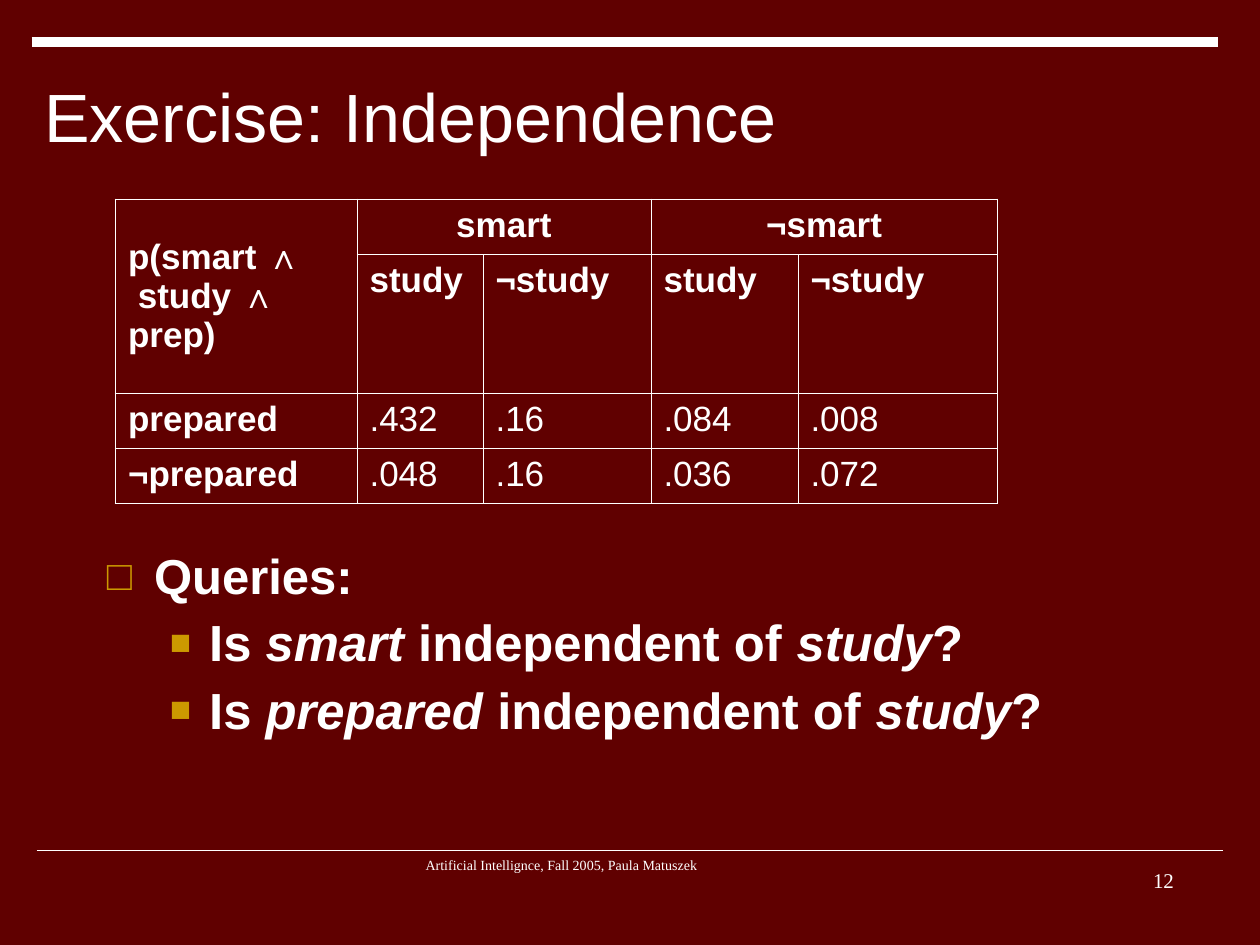
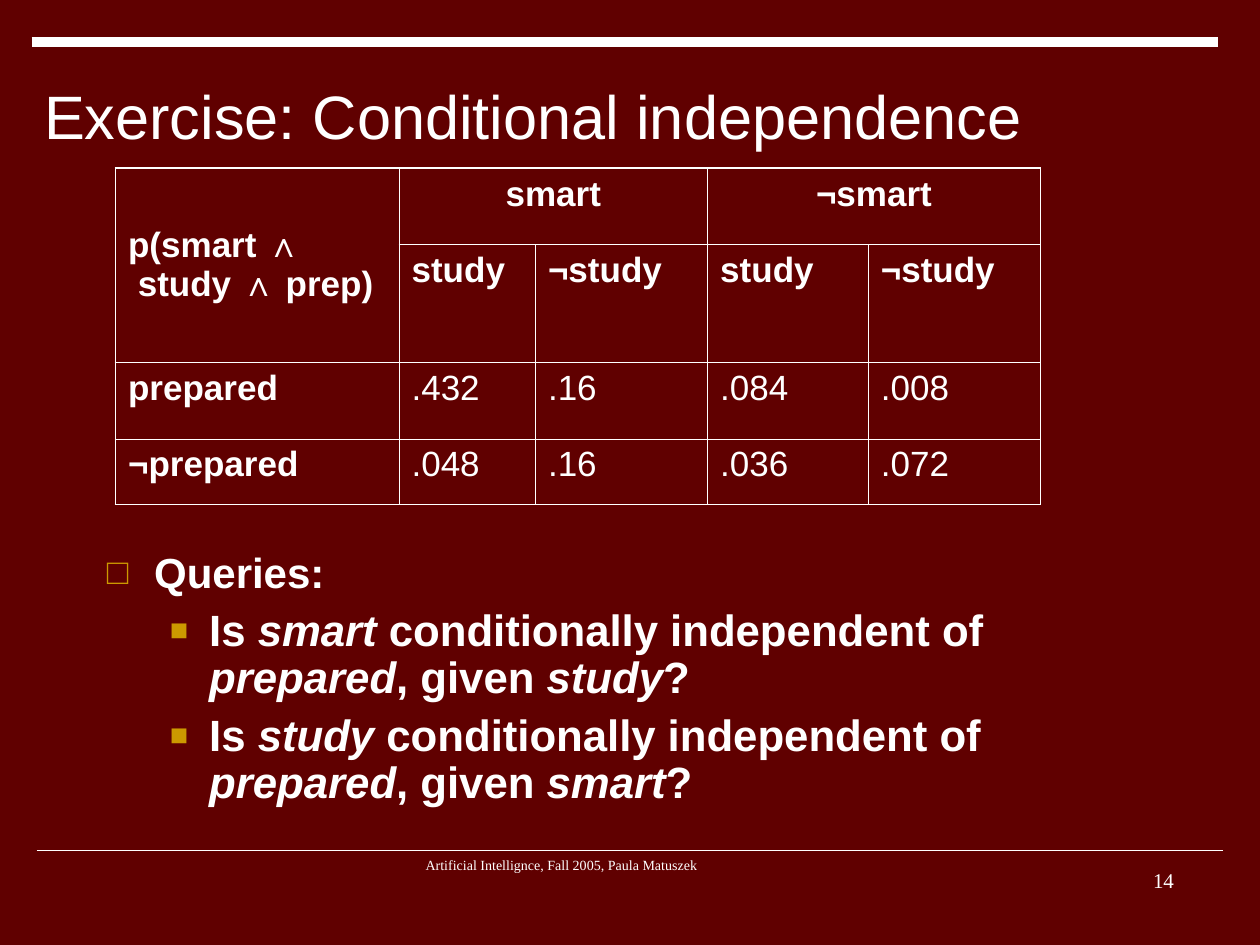
from dataclasses import dataclass
from typing import Any, NamedTuple

from lxml import etree
from pptx import Presentation
from pptx import util as u
from pptx.dml.color import RGBColor
from pptx.enum import shapes, text
from pptx.oxml import ns

MAROON = RGBColor(0x60, 0x00, 0x00)
WHITE = RGBColor(0xFF, 0xFF, 0xFF)
GOLD = RGBColor(0xCC, 0x99, 0x00)
SANS, SERIF = "Arial", "Times New Roman"
WIDTH, HEIGHT = u.Inches(10), u.Inches(7.5)
COLUMNS, ROWS = 120, 90
OUTER_BORDER, INNER_BORDER = u.Pt(1.08), u.Pt(0.45)
TITLE_ONLY = 5
COURSE = "Artificial Intellignce, Fall 2005, Paula Matuszek"
PROBABILITIES = (
    ("p(smart ∧\v study ∧ prep)", "smart", "", "¬smart", ""),
    ("", "study", "¬study", "study", "¬study"),
    ("prepared", ".432", ".16", ".084", ".008"),
    ("¬prepared", ".048", ".16", ".036", ".072"),
)
MERGES = (((0, 0), (1, 0)), ((0, 1), (0, 2)), ((0, 3), (0, 4)))


class Area(NamedTuple):
    column: float
    row: float
    columns: float
    rows: float

    def lengths(self) -> tuple[int, int, int, int]:
        return across(self.column), down(self.row), across(self.columns), down(self.rows)


class Rule(NamedTuple):
    start: float
    end: float
    row: float
    weight: float


class Bullet(NamedTuple):
    level: int
    mark: str
    percent: int
    margin: float
    hang: float


@dataclass(frozen=True)
class Exercise:
    title: str
    title_size: float
    number: int
    table_area: Area
    table_columns: tuple[float, ...]
    table_rows: tuple[float, ...]
    heading_size: float
    query_size: float
    queries: tuple[str, ...]


RULES = (Rule(3.5, 116.5, 81, 1), Rule(3, 116, 4, 6))
TITLE_AREA = Area(3, 7, 111, 8)
QUERIES_AREA = Area(9, 52, 102, 33)
COURSE_AREA = Area(2, 81, 103, 6)
NUMBER_AREA = Area(107, 82, 6, 6)
HEADING_BULLET = Bullet(0, "□", 85, 4.5, 4.5)
QUERY_BULLET = Bullet(1, "■", 70, 9.75, 3.75)

EXERCISES = (
    Exercise(
        "Exercise: Independence", 39, 12,
        Area(11, 19, 84, 29), (23, 12, 16, 14, 19), (5.25, 13.2, 5.25, 5.25),
        28, 29,
        ("Is *smart* independent of *study*?", "Is *prepared* independent of *study*?"),
    ),
    Exercise(
        "Exercise: Conditional independence", 35, 14,
        Area(11, 16, 88, 32), (27, 13, 16.4, 15.3, 16.4), (7.3, 11.2, 7.3, 6.25),
        24, 25,
        ("Is *smart* conditionally independent of *prepared*, given *study*?",
         "Is *study* conditionally independent of *prepared*, given *smart*?"),
    ),
)


def across(columns: float) -> int:
    return round(WIDTH * columns / COLUMNS)


def down(rows: float) -> int:
    return round(HEIGHT * rows / ROWS)


def apply(target: Any, **formats: Any) -> None:
    for name, value in formats.items():
        setattr(target, name, value)


def style_run(run: Any, size: float, face: str = SANS, **formats: Any) -> None:
    apply(run.font, size=u.Pt(size), name=face, **formats)
    run.font.color.rgb = WHITE


def write(paragraph: Any, words: str, size: float, face: str = SANS, **formats: Any) -> None:
    paragraph.text = words
    for run in paragraph.runs:
        style_run(run, size, face, **formats)


def add_frame(slide: Any, area: Area) -> Any:
    frame = slide.shapes.add_textbox(*area.lengths()).text_frame
    apply(frame, word_wrap=True, auto_size=text.MSO_AUTO_SIZE.NONE)
    return frame


def add_rule(slide: Any, rule: Rule) -> None:
    line = slide.shapes.add_connector(
        shapes.MSO_CONNECTOR.STRAIGHT,
        across(rule.start), down(rule.row), across(rule.end), down(rule.row),
    )
    line.line.color.rgb = WHITE
    line.line.width = u.Pt(rule.weight)
    etree.SubElement(line._element.spPr, ns.qn("a:effectLst"))


def add_footer(slide: Any, area: Area, words: str, size: float, alignment: Any) -> None:
    paragraph = add_frame(slide, area).paragraphs[0]
    paragraph.alignment = alignment
    write(paragraph, words, size, SERIF)


def add_title(slide: Any, words: str, size: float) -> None:
    title = slide.shapes.title
    apply(title, **dict(zip(("left", "top", "width", "height"), TITLE_AREA.lengths())))
    apply(title.text_frame, word_wrap=True, auto_size=text.MSO_AUTO_SIZE.NONE,
          vertical_anchor=text.MSO_ANCHOR.MIDDLE)
    paragraph = title.text_frame.paragraphs[0]
    paragraph.alignment = text.PP_ALIGN.LEFT
    write(paragraph, words, size)


def set_bullet(paragraph: Any, bullet: Bullet) -> None:
    properties = paragraph._p.get_or_add_pPr()
    properties.set("marL", str(across(bullet.margin)))
    properties.set("indent", str(-across(bullet.hang)))
    color = etree.SubElement(properties, ns.qn("a:buClr"))
    etree.SubElement(color, ns.qn("a:srgbClr"), val=str(GOLD))
    etree.SubElement(properties, ns.qn("a:buSzPct"), val=str(bullet.percent * 1000))
    etree.SubElement(properties, ns.qn("a:buFont"), typeface=SANS)
    etree.SubElement(properties, ns.qn("a:buChar"), char=bullet.mark)


def add_queries(slide: Any, exercise: Exercise) -> None:
    frame = add_frame(slide, QUERIES_AREA)
    entries = [("Queries:", exercise.heading_size, HEADING_BULLET)]
    entries += [(query, exercise.query_size, QUERY_BULLET) for query in exercise.queries]
    for index, (words, size, bullet) in enumerate(entries):
        paragraph = frame.add_paragraph() if index else frame.paragraphs[0]
        apply(paragraph, level=bullet.level, line_spacing=0.9, space_before=u.Pt(size / 4))
        set_bullet(paragraph, bullet)
        for position, part in enumerate(words.split("*")):
            run = paragraph.add_run()
            run.text = part
            style_run(run, size, bold=True, italic=position % 2 == 1)


def set_borders(cell: Any, row: int, column: int, last_row: int, last_column: int) -> None:
    outer_sides = {"L": column == 0, "R": column == last_column,
                   "T": row == 0, "B": row == last_row}
    properties = cell._tc.get_or_add_tcPr()
    for index, (side, outer) in enumerate(outer_sides.items()):
        weight = OUTER_BORDER if outer else INNER_BORDER
        border = etree.Element(ns.qn(f"a:ln{side}"), w=str(weight))
        fill = etree.SubElement(border, ns.qn("a:solidFill"))
        etree.SubElement(fill, ns.qn("a:srgbClr"), val=str(WHITE))
        properties.insert(index, border)


def add_probabilities(slide: Any, exercise: Exercise) -> None:
    row_count, column_count = len(PROBABILITIES), len(PROBABILITIES[0])
    table = slide.shapes.add_table(
        row_count, column_count, *exercise.table_area.lengths()
    ).table
    apply(table, first_row=False, horz_banding=False)
    for column, share in zip(table.columns, exercise.table_columns):
        column.width = across(share)
    for row, share in zip(table.rows, exercise.table_rows):
        row.height = down(share)
    for first, last in MERGES:
        table.cell(*first).merge(table.cell(*last))
    for row, entries in enumerate(PROBABILITIES):
        for column, words in enumerate(entries):
            cell = table.cell(row, column)
            cell.fill.background()
            apply(cell, margin_left=u.Inches(0.1), margin_right=u.Inches(0.1),
                  margin_top=u.Inches(0.05), margin_bottom=u.Inches(0.05))
            set_borders(cell, row, column, row_count - 1, column_count - 1)
            if not words:
                continue
            paragraph = cell.text_frame.paragraphs[0]
            centred = row == 0 and column > 0
            apply(paragraph, space_before=u.Pt(5),
                  alignment=text.PP_ALIGN.CENTER if centred else text.PP_ALIGN.LEFT)
            write(paragraph, words, 20, bold=row < 2 or column == 0)
    table.cell(0, 0).vertical_anchor = text.MSO_ANCHOR.MIDDLE


def add_exercise(deck: Any, exercise: Exercise) -> None:
    slide = deck.slides.add_slide(deck.slide_layouts[TITLE_ONLY])
    for rule in RULES:
        add_rule(slide, rule)
    add_title(slide, exercise.title, exercise.title_size)
    add_queries(slide, exercise)
    add_probabilities(slide, exercise)
    add_footer(slide, COURSE_AREA, COURSE, 8, text.PP_ALIGN.CENTER)
    add_footer(slide, NUMBER_AREA, str(exercise.number), 12, text.PP_ALIGN.RIGHT)


def main() -> None:
    deck = Presentation()
    apply(deck, slide_width=WIDTH, slide_height=HEIGHT)
    background = deck.slide_master.background.fill
    background.solid()
    background.fore_color.rgb = MAROON
    for exercise in EXERCISES:
        add_exercise(deck, exercise)
    deck.save("out.pptx")


if __name__ == "__main__":
    main()
